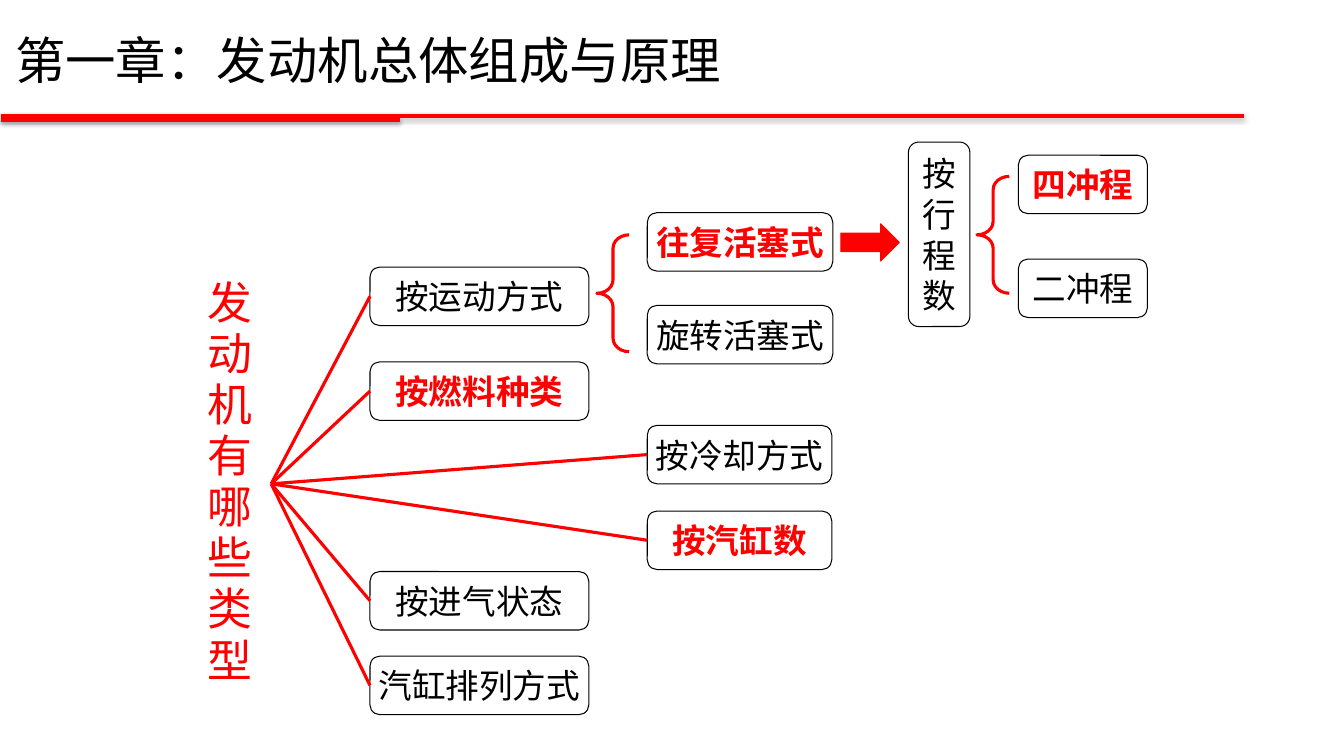
from pptx import Presentation
from pptx.dml.color import RGBColor
from pptx.enum.shapes import MSO_CONNECTOR, MSO_SHAPE
from pptx.enum.text import MSO_ANCHOR, MSO_AUTO_SIZE, PP_ALIGN
from pptx.oxml import parse_xml
from pptx.oxml.ns import nsdecls
from pptx.util import Inches, Pt

ROUND, BRACE = MSO_SHAPE.ROUNDED_RECTANGLE, MSO_SHAPE.LEFT_BRACE
ARROW, LINE = MSO_SHAPE.RIGHT_ARROW, MSO_CONNECTOR.STRAIGHT
MID, TOP, CENTER = MSO_ANCHOR.MIDDLE, MSO_ANCHOR.TOP, PP_ALIGN.CENTER
FIXED = MSO_AUTO_SIZE.NONE
RED, BLACK, WHITE = "FF0000", "000000", "FFFFFF"
HAN = "Noto Sans CJK SC"
WIDE, HIGH = 13.33, 7.5
NODE = 0.58  # height of a node
SHADE = ('<a:outerShdw blurRad="39370" dist="22860" dir="5400000" rotWithShape="0">'
         '<a:srgbClr val="000000"><a:alpha val="35000"/></a:srgbClr></a:outerShdw>')


def color(code):
    return RGBColor.from_string(code)


def within(box, x, y, w, h):
    """Turn a place inside a box into lengths on the slide."""
    return [Inches(v) for v in (box[0] + x, box[1] + y, w, h)]


def write(shape, lines, size, ink=BLACK, bold=False, face="Arial",
          pitch=None, anchor=MID, wrap=False):
    frame = shape.text_frame
    form = {"auto_size": FIXED, "word_wrap": wrap, "vertical_anchor": anchor}
    for name, value in form.items():
        setattr(frame, name, value)
    frame.text = "\n".join(lines)
    for para in frame.paragraphs:
        para.alignment = CENTER
        if pitch:
            para.line_spacing = Pt(pitch)
        for run in para.runs:
            form = {"size": Pt(size), "bold": bold, "name": face}
            for name, value in form.items():
                setattr(run.font, name, value)
            run.font.color.rgb = color(ink)
            latin = run.font._element.find(".//{*}latin")
            latin.addnext(parse_xml(f'<a:ea {nsdecls("a")} typeface="{HAN}"/>'))


def draw(slide, kind, place, fill, edge, width):
    shape = slide.shapes.add_shape(kind, *place)
    shape.shadow.inherit = False
    shape.fill.solid()
    shape.fill.fore_color.rgb = color(fill)
    shape.line.color.rgb = color(edge)
    shape.line.width = Pt(width)
    return shape


def link(slide, start, end, width, effect=""):
    line = slide.shapes.add_connector(LINE, *map(Inches, start + end))
    line.line.color.rgb = color(RED)
    line.line.width = Pt(width)
    line._element.spPr.append(
        parse_xml(f'<a:effectLst {nsdecls("a")}>{effect}</a:effectLst>'))
    return line


def node(slide, place, text, hot=False, pitch=None):
    shape = draw(slide, ROUND, place, WHITE, BLACK, 0.75)
    write(shape, text.split("\n"), 24, RED if hot else BLACK, hot, pitch=pitch)
    return shape


def brace(slide, place):
    shape = draw(slide, BRACE, place, WHITE, RED, 2.25)
    shape.adjustments[0] = 0.417


def head(slide, box):
    # Title above a thin rule with a thicker start
    x, y, w, h = box
    title = slide.shapes.title
    place = within(box, 0, 0.28, 7.3, 0.62)
    for name, value in zip(("left", "top", "width", "height"), place):
        setattr(title, name, value)
    write(title, ["第一章：发动机总体组成与原理"], 36, face=HAN, wrap=True)
    for drop, end in ((0, 12.34), (0.04, 3.97)):
        level = y + h + drop
        link(slide, (x + 0.01, level), (x + end, level), 3, SHADE)


def tree(slide, box):
    # Root question, one character on each line
    root = slide.shapes.add_textbox(*within(box, 0, 0.05, NODE, 4.18))
    write(root, ["发动机有哪些类型"], 32, RED, face="Times New Roman",
          pitch=36.5, anchor=TOP, wrap=True)
    # Branches in two columns, each tied to the root
    near, far = (1.71, 2.17), (4.46, 1.83)
    for (col, wide), row, text, hot in (
            (near, 0, "按运动方式", False), (near, 0.94, "按燃料种类", True),
            (far, 1.57, "按冷却方式", False), (far, 2.42, "按汽缸数", True),
            (near, 3.02, "按进气状态", False), (near, 3.86, "汽缸排列方式", False)):
        leaf = node(slide, within(box, col, row, wide, NODE), text, hot)
        start = (box[0] + 0.73, box[1] + 2.15)
        link(slide, start, start, 2.25).end_connect(leaf, 1)


def motion(slide, box):
    # Two kinds of piston motion, and an arrow to the next split
    brace(slide, within(box, 0, 0.22, 0.32, 1.16))
    for row, text, hot in ((0, "往复活塞式", True), (0.92, "旋转活塞式", False)):
        node(slide, within(box, 0.5, row, 1.84, NODE), text, hot)
    draw(slide, ARROW, within(box, 2.42, 0.11, NODE, 0.37), RED, RED, 0.75)


def stroke(slide, box):
    # Upright heading, then the two stroke counts
    node(slide, within(box, 0, 0, 0.61, 1.83), "按\n行\n程\n数", pitch=29)
    brace(slide, within(box, 0.68, 0.34, 0.32, 1.16))
    for row, text, hot in ((0.13, "四冲程", True), (1.16, "二冲程", False)):
        node(slide, within(box, 1.09, row, 1.28, NODE), text, hot)


def main():
    deck = Presentation()
    deck.slide_width, deck.slide_height = Inches(WIDE), Inches(HIGH)
    slide = deck.slides.add_slide(deck.slide_layouts[5])
    head(slide, (0, 0, WIDE, 1.15))
    tree(slide, (1.96, 2.65))
    motion(slide, (5.92, 2.11))
    stroke(slide, (9.01, 1.41))
    deck.save("out.pptx")


if __name__ == "__main__":
    main()
